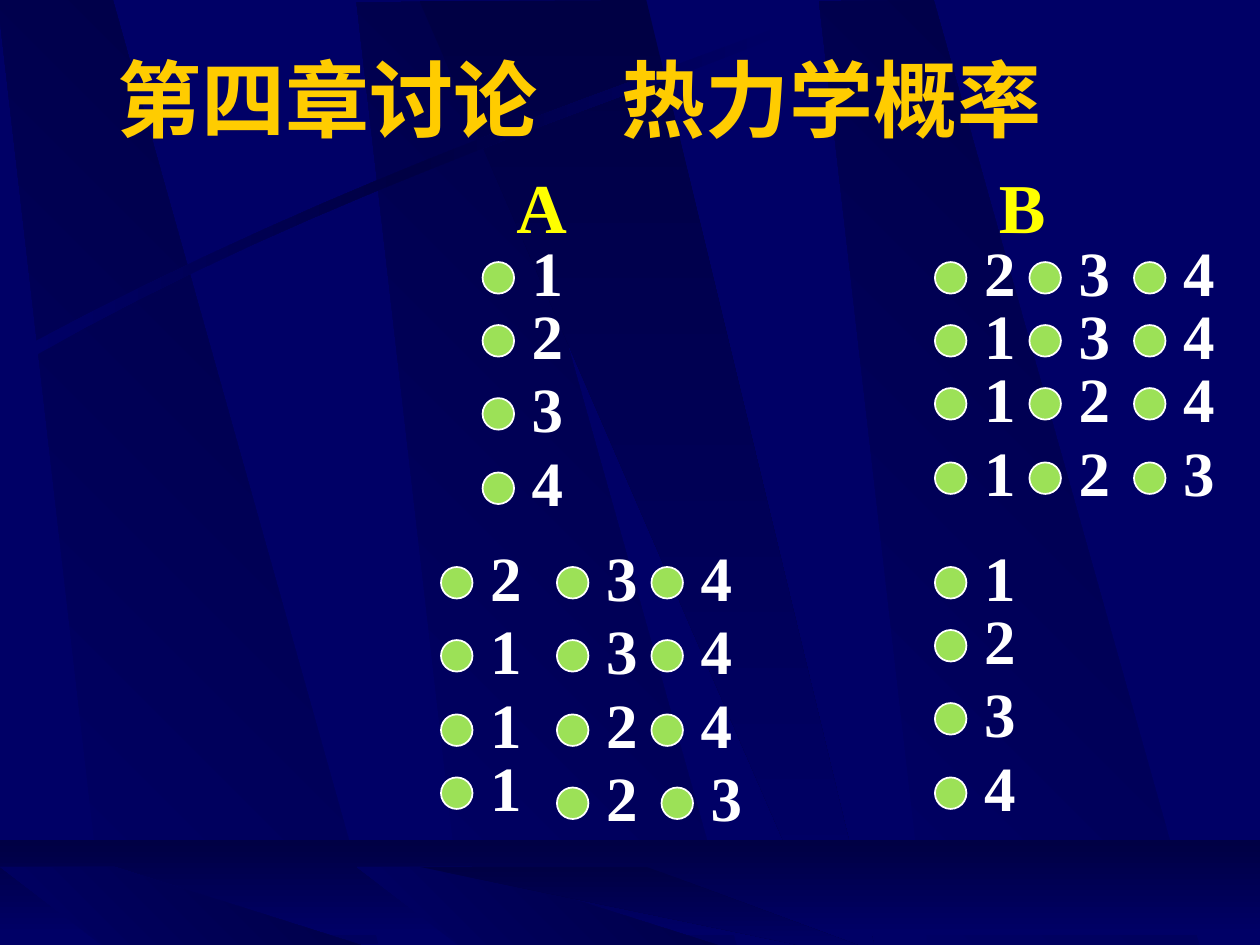
from copy import deepcopy

from pptx import Presentation
from pptx.dml.color import RGBColor
from pptx.enum.shapes import MSO_SHAPE
from pptx.enum.text import MSO_ANCHOR, MSO_AUTO_SIZE, PP_ALIGN
from pptx.oxml.ns import qn
from pptx.util import Inches, Pt

OVAL = MSO_SHAPE.OVAL
RECTANGLE = MSO_SHAPE.RECTANGLE
TOP = MSO_ANCHOR.TOP
LEFT = PP_ALIGN.LEFT
GROW = MSO_AUTO_SIZE.SHAPE_TO_FIT_TEXT

COLORS = {
    "light": "000066",
    "dark": "000044",
    "title": "FFCC00",
    "heading": "FFFF00",
    "number": "FFFFFF",
    "particle": "9CE157",
}
FORMATS = {
    "title": {"size": Pt(48), "bold": True, "name": "Times New Roman"},
    "heading": {"size": Pt(40), "bold": True, "name": "Times New Roman"},
    "number": {"size": Pt(36), "bold": True, "name": "Times New Roman"},
}
LINE_SPACING = {"title": 1.1, "heading": 1.0, "number": 0.8}


def color(name):
    """Return the named colour."""
    return RGBColor.from_string(COLORS[name])


def curve(start, first, second, end, steps=16):
    """Return points along a cubic curve."""
    points = []
    for step in range(steps + 1):
        t = step / steps
        weights = ((1 - t) ** 3, 3 * t * (1 - t) ** 2, 3 * t * t * (1 - t), t ** 3)
        points.append(tuple(
            sum(weight * value for weight, value in zip(weights, values))
            for values in zip(start, first, second, end)
        ))
    return points


class SlideBuilder:
    """Holds the style and the current slide."""

    def __init__(self, presentation):
        """Add a title-only slide with a plain background."""
        self.slide = presentation.slides.add_slide(presentation.slide_layouts[5])
        fill = self.slide.background.fill
        fill.solid()
        fill.fore_color.rgb = color("light")

    def shade(self, shape, names, angle):
        """Fill a shape with an evenly spaced gradient."""
        shape.shadow.inherit = False
        shape.line.fill.background()
        shape.fill.gradient()
        shape.fill.gradient_angle = angle
        stop_list = shape.element.find(".//" + qn("a:gsLst"))
        for _ in names[2:]:
            stop_list.append(deepcopy(stop_list[-1]))
        for index, (stop, name) in enumerate(zip(shape.fill.gradient_stops, names)):
            stop.color.rgb = color(name)
            stop.position = index / (len(names) - 1)

    def band(self, points, names, angle, left=0, top=0):
        """Draw a shaded outline moved by an offset."""
        corners = [(Inches(left + x), Inches(top + y)) for x, y in points]
        builder = self.slide.shapes.build_freeform(*corners[0])
        builder.add_line_segments(corners[1:], close=True)
        self.shade(builder.convert_to_shape(), names, angle)

    def floor(self, left, top, width, height):
        """Draw the shaded floor strip."""
        shape = self.slide.shapes.add_shape(
            RECTANGLE, Inches(left), Inches(top), Inches(width), Inches(height))
        self.shade(shape, ("dark", "light"), 270)

    def set_text(self, shape, text, style):
        """Put one styled paragraph into a shape."""
        frame = shape.text_frame
        frame.text = text
        layout = {"word_wrap": True, "auto_size": GROW, "vertical_anchor": TOP}
        for name, value in layout.items():
            setattr(frame, name, value)
        paragraph = frame.paragraphs[0]
        paragraph.alignment = LEFT
        paragraph.line_spacing = LINE_SPACING[style]
        font = paragraph.runs[0].font
        for name, value in FORMATS[style].items():
            setattr(font, name, value)
        font.color.rgb = color(style)

    def title(self, text, left, top, width, height):
        """Place the title in front of the background bands."""
        shape = self.slide.shapes.title
        bounds = {"left": left, "top": top, "width": width, "height": height}
        for name, value in bounds.items():
            setattr(shape, name, Inches(value))
        self.set_text(shape, text, "title")
        shape.element.getparent().append(shape.element)

    def heading(self, text, left, top):
        """Add a column heading."""
        shape = self.slide.shapes.add_textbox(
            Inches(left), Inches(top), Inches(0.83), Inches(0.77))
        self.set_text(shape, text, "heading")

    def particle(self, number, left, top):
        """Draw a grouped ball and its number."""
        shapes = self.slide.shapes.add_group_shape().shapes
        ball = shapes.add_shape(
            OVAL, Inches(left), Inches(top), Inches(0.25), Inches(0.25))
        ball.shadow.inherit = False
        ball.fill.solid()
        ball.fill.fore_color.rgb = color("particle")
        ball.line.color.rgb = color("number")
        ball.line.width = Pt(1)
        label = shapes.add_textbox(
            Inches(left + 0.17), Inches(top - 0.16), Inches(0.58), Inches(0.58))
        label.text_frame.margin_left = Inches(0.22)
        label.text_frame.margin_right = 0
        self.set_text(label, str(number), "number")

    def singles(self, left, tops):
        """Draw one particle per row."""
        for number, top in enumerate(tops, 1):
            self.particle(number, left, top)

    def triples(self, rows):
        """Draw in each row the three particles left over by its single one."""
        for missing, positions in enumerate(rows, 1):
            numbers = [number for number in range(1, 5) if number != missing]
            for number, (left, top) in zip(numbers, positions):
                self.particle(number, left, top)


def main():
    """Build and save the slide."""
    presentation = Presentation()
    presentation.slide_width = Inches(10)
    presentation.slide_height = Inches(7.5)
    builder = SlideBuilder(presentation)

    fading = ("light", "dark")
    rising = ("dark", "light")
    tall_beam = [(0.86, 7.49), (3.02, 7.51), (0.91, 0), (0, 0.01)]
    short_beam = [(0.86, 0.66), (3.02, 0.67), (0.91, 0), (0, 0)]
    for left, top in ((2.83, 0.01), (-0.02, -0.02), (6.5, 0)):
        builder.band(tall_beam, fading, 45, left, top)
    builder.band([(3.33, 0.01), (6.58, 7.51), (6.94, 7.51), (5.13, 0)], rising, 270)
    upper_edge = curve((0.2, 2.75), (2.84, 1.34), (5.24, 0.59), (6.26, 0.18))
    lower_edge = curve((6.29, 0.24), (5.28, 0.69), (2.54, 1.51), (0.23, 2.85))
    builder.band(upper_edge + lower_edge, ("light", "dark", "light"), 0)
    builder.floor(0, 6.67, 10, 0.75)
    for left in (2.83, 0):
        builder.band(short_beam, fading, 45, left, 6.88)
    builder.band([(3.33, 6.88), (6.58, 7.55), (6.94, 7.55), (5.13, 6.88)], rising, 270)

    builder.heading("A", 4, 1.25)
    builder.heading("B", 7.83, 1.25)
    builder.singles(3.83, (2.08, 2.58, 3.16, 3.75))
    builder.singles(7.42, (4.5, 5, 5.58, 6.17))
    builder.triples([[(left, top) for left in (7.42, 8.17, 9)]
                     for top in (2.08, 2.58, 3.08, 3.67)])
    lower_rows = [[(left, top) for left in (3.5, 4.42, 5.17)]
                  for top in (4.5, 5.08, 5.67)]
    builder.triples(lower_rows + [[(3.5, 6.17), (4.42, 6.25), (5.25, 6.25)]])
    builder.title("第四章讨论　热力学概率", 0.83, 0.25, 8.58, 0.98)
    presentation.save("out.pptx")


if __name__ == "__main__":
    main()
